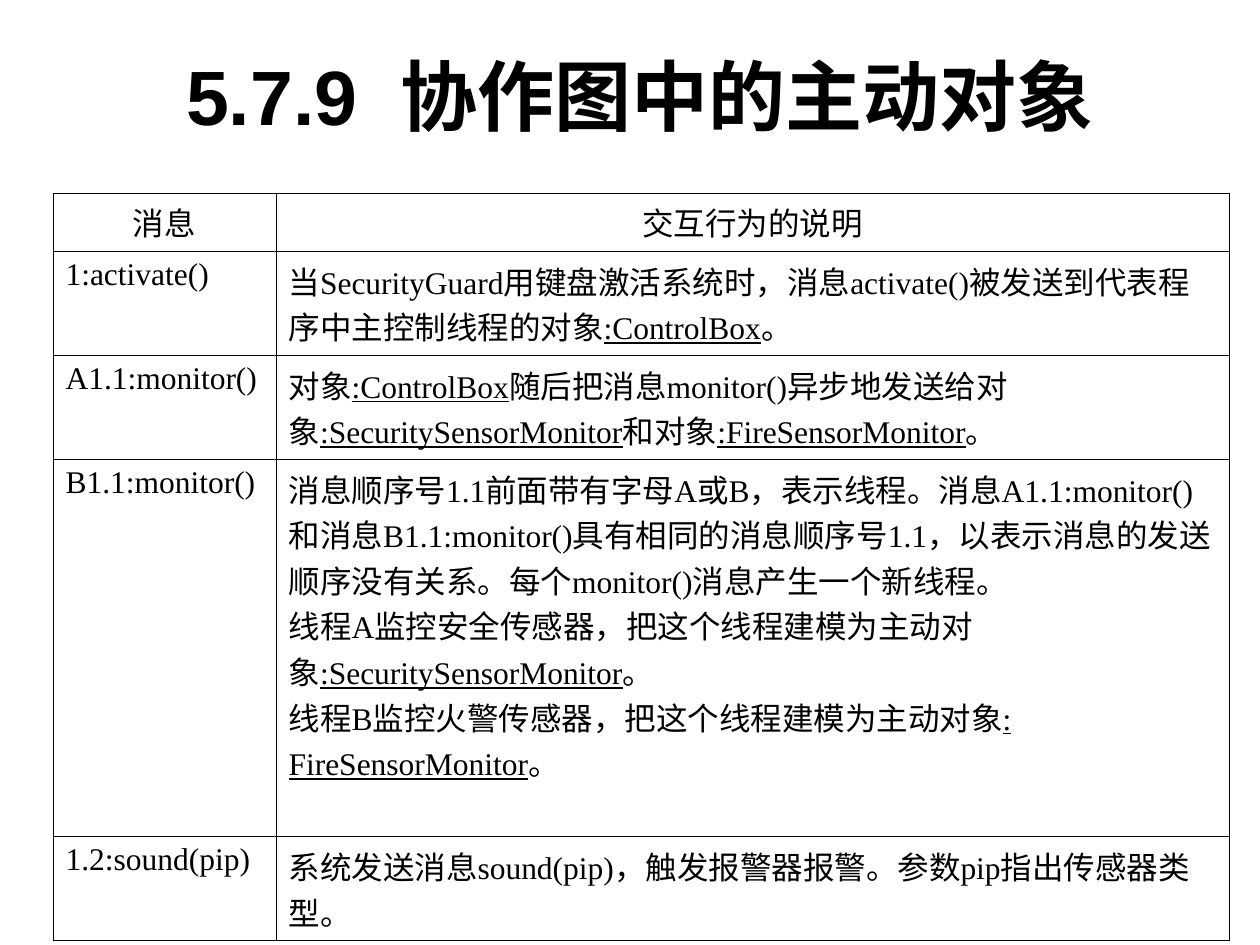
from lxml.etree import SubElement as Sub
from pptx import Presentation
from pptx.dml.color import RGBColor as RGB
from pptx.enum.text import MSO_ANCHOR as Anchor, PP_ALIGN as Align
from pptx.oxml.ns import qn
from pptx.util import Pt

PX = 914400 // 126
INK = {"text": "000000", "line": "000000"}
ROWS = [
    (58, "消息", ["交互行为的说明"]),
    (104, "1:activate()", [
        "当SecurityGuard用键盘激活系统时，消息activate()被发送到代表"
        "程序中主控制线程的对象_:ControlBox_。"]),
    (104, "A1.1:monitor()", [
        "对象_:ControlBox_随后把消息monitor()异步地发送给对象"
        "_:SecuritySensorMonitor_和对象_:FireSensorMonitor_。"]),
    (377, "B1.1:monitor()", [
        "消息顺序号1.1前面带有字母A或B，表示线程。消息A1.1:monitor()"
        "和消息B1.1:monitor()具有相同的消息顺序号1.1，以表示消息的"
        "发送顺序没有关系。每个monitor()消息产生一个新线程。",
        "线程A监控安全传感器，把这个线程建模为主动对象"
        "_:SecuritySensorMonitor_。",
        "线程B监控火警传感器，把这个线程建模为主动对象"
        "_: FireSensorMonitor_。"]),
    (104, "1.2:sound(pip)", [
        "系统发送消息sound(pip)，触发报警器报警。参数pip指出传感器类型。"]),
]


def write(frame, paras, size=18, font="Times New Roman", bold=False,
          align=Align.LEFT, anchor=Anchor.TOP):
    """Fill a frame with paragraphs; text between underscores is underlined."""
    frame.word_wrap = True
    frame.vertical_anchor = anchor
    for i, text in enumerate(paras):
        para = frame.add_paragraph() if i else frame.paragraphs[0]
        para.alignment = align
        for j, part in enumerate(text.split("_")):
            run = para.add_run()
            run.text = part
            face = run.font
            face.name, face.size, face.bold = font, Pt(size), bold
            face.underline = j % 2 == 1
            face.color.rgb = RGB.from_string(INK["text"])


def rule(cell, width=0.45):
    """Draw a line on all four sides of a cell, under a clear fill."""
    props = cell._tc.get_or_add_tcPr()
    for side in ("lnL", "lnR", "lnT", "lnB"):
        line = Sub(props, qn(f"a:{side}"), w=str(Pt(width)))
        fill = Sub(line, qn("a:solidFill"))
        Sub(fill, qn("a:srgbClr"), val=INK["line"])
    cell.fill.background()


def head(slide, box, text):
    title = slide.shapes.title
    title.left, title.top, title.width, title.height = (n * PX for n in box)
    write(title.text_frame, [text], size=44, font="Arial", bold=True,
          align=Align.CENTER, anchor=Anchor.MIDDLE)


def grid(slide, box, rows, first):
    """Place the message table; first is the width of its left column."""
    shape = slide.shapes.add_table(len(rows), 2, *(n * PX for n in box))
    table = shape.table
    table.first_row = table.horz_banding = False
    for col, width in zip(table.columns, (first, box[2] - first)):
        col.width = width * PX
    for i, (high, name, notes) in enumerate(rows):
        table.rows[i].height = high * PX
        align = Align.LEFT if i else Align.CENTER
        for j, paras in enumerate(([name], notes)):
            cell = table.cell(i, j)
            write(cell.text_frame, paras, align=align)
            rule(cell)


def main():
    deck = Presentation()
    deck.slide_width, deck.slide_height = 1260 * PX, 945 * PX
    slide = deck.slides.add_slide(deck.slide_layouts[5])
    head(slide, (73, 32, 1134, 126), "5.7.9  协作图中的主动对象")
    high = sum(row[0] for row in ROWS)
    grid(slide, (53, 193, 1176, high), ROWS, 223)
    deck.save("out.pptx")


if __name__ == "__main__":
    main()
